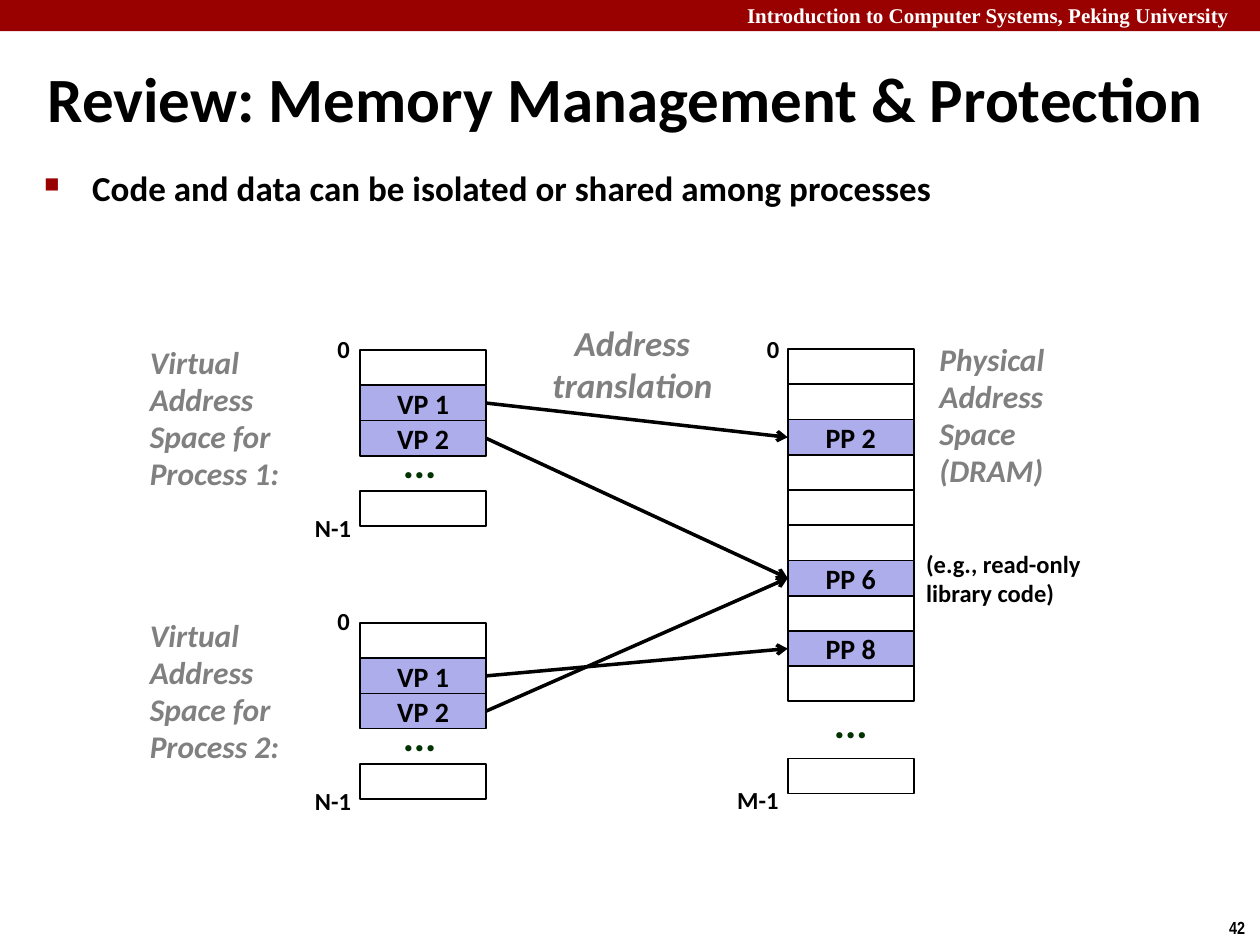
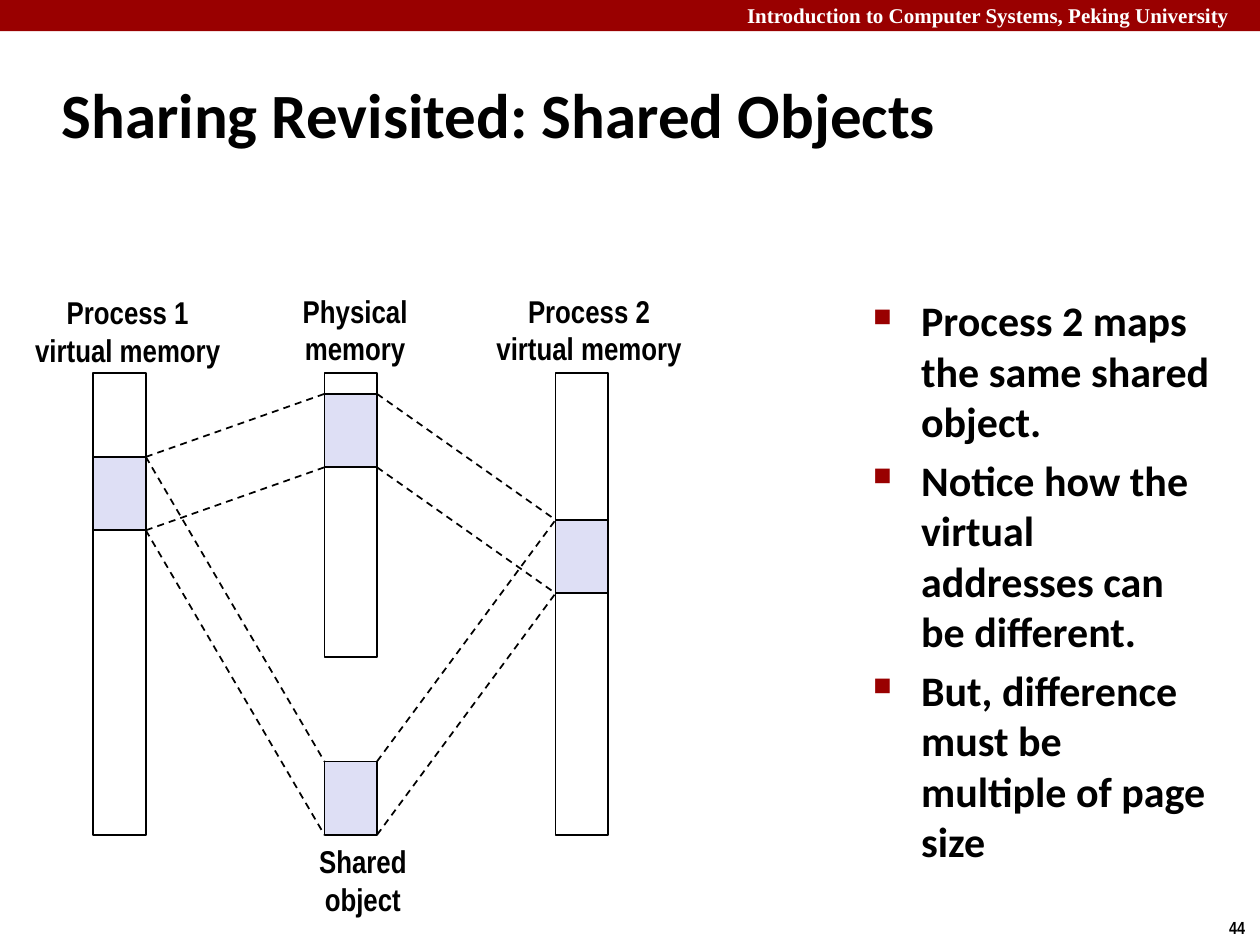
"""Build two slides on memory sharing between processes."""
from dataclasses import dataclass
from typing import Any, Optional

from lxml.etree import SubElement
from pptx import Presentation
from pptx.dml.color import RGBColor
from pptx.enum.dml import MSO_LINE as Dash
from pptx.enum.shapes import MSO_CONNECTOR as Link, MSO_SHAPE as Form
from pptx.enum.text import MSO_ANCHOR as Anchor, MSO_AUTO_SIZE as Fit, PP_ALIGN as Align
from pptx.oxml.ns import qn
from pptx.util import Cm, Pt

RED = RGBColor(0x99, 0x00, 0x00)
BLACK = RGBColor(0x00, 0x00, 0x00)
WHITE = RGBColor(0xFF, 0xFF, 0xFF)
GRAY = RGBColor(0x80, 0x80, 0x80)
GREEN = RGBColor(0x00, 0x33, 0x00)
PAGE = RGBColor(0xAD, 0xAD, 0xEB)
SHARED = RGBColor(0xDE, 0xDF, 0xF5)


def face(name: str, size: int, italic: bool = False) -> dict[str, Any]:
    """Return the format values of a bold font."""
    return {"name": name, "size": Pt(size), "bold": True, "italic": italic}


TITLE = face("Calibri", 36)
POINT = face("Calibri", 24)
LEAD = face("Calibri", 20)
CELL = face("Calibri", 16)
MARK = face("Calibri", 14)
SPACE = face("Calibri", 18, italic=True)
ARROW = face("Calibri", 20, italic=True)
LABEL = face("Arial Narrow", 18)
NUMBER = face("Arial Narrow", 10)
HEAD = face("Times New Roman", 12)


@dataclass(frozen=True)
class Note:
    """A text box, with lengths in centimetres."""
    x: float
    y: float
    w: float
    h: float
    lines: tuple[str, ...]
    font: dict[str, Any]
    ink: RGBColor = BLACK
    wrap: bool = False
    align: Align = Align.LEFT
    anchor: Anchor = Anchor.TOP
    pitch: float = 1.0
    gap: float = 0
    bullet: bool = False


@dataclass(frozen=True)
class Box:
    """A rectangle, with lengths in centimetres."""
    x: float
    y: float
    w: float
    h: float
    fill: Optional[RGBColor] = None
    edge: Optional[RGBColor] = BLACK
    text: str = ""


def style(para: Any, font: dict[str, Any], ink: RGBColor) -> None:
    """Apply the format values and colour to a paragraph's font."""
    for key, value in font.items():
        setattr(para.font, key, value)
    para.font.color.rgb = ink


def place(shape: Any, x: float, y: float, w: float, h: float) -> None:
    """Move and size a shape."""
    shape.left, shape.top, shape.width, shape.height = map(Cm, (x, y, w, h))


def add_bullet(para: Any) -> None:
    """Give a paragraph a hanging square bullet."""
    props = para._p.get_or_add_pPr()
    props.set("marL", str(Cm(0.97)))
    props.set("indent", str(-Cm(0.97)))
    SubElement(SubElement(props, qn("a:buClr")), qn("a:srgbClr"), val=str(RED))
    SubElement(props, qn("a:buSzPct"), val="60000")
    SubElement(props, qn("a:buChar"), char="■")


def add_note(slide: Any, note: Note) -> None:
    """Draw a text box."""
    shape = slide.shapes.add_textbox(*map(Cm, (note.x, note.y, note.w, note.h)))
    frame = shape.text_frame
    frame.text = "\n".join(note.lines)
    frame.word_wrap = note.wrap
    frame.vertical_anchor = note.anchor
    frame.auto_size = Fit.NONE if note.bullet else Fit.SHAPE_TO_FIT_TEXT
    for index, para in enumerate(frame.paragraphs):
        if note.bullet:
            add_bullet(para)
        para.alignment = note.align
        para.line_spacing = note.pitch
        para.space_before = Pt(note.gap if index else 0)
        style(para, note.font, note.ink)


def add_box(slide: Any, box: Box) -> Any:
    """Draw a rectangle and return it."""
    shape = slide.shapes.add_shape(Form.RECTANGLE, *map(Cm, (box.x, box.y, box.w, box.h)))
    shape.shadow.inherit = False
    if box.fill is None:
        shape.fill.background()
    else:
        shape.fill.solid()
        shape.fill.fore_color.rgb = box.fill
    if box.edge is None:
        shape.line.fill.background()
    else:
        shape.line.color.rgb = box.edge
        shape.line.width = Pt(1)
    if box.text:
        shape.text_frame.text = box.text
        shape.text_frame.vertical_anchor = Anchor.MIDDLE
        para = shape.text_frame.paragraphs[0]
        para.alignment = Align.CENTER
        style(para, CELL, BLACK)
    return shape


def add_line(slide: Any, ends: tuple[int, int, int, int], width: float) -> Any:
    """Draw a plain black line and return it."""
    line = slide.shapes.add_connector(Link.STRAIGHT, *ends)
    line.line.color.rgb = BLACK
    line.line.width = Pt(width)
    SubElement(line._element.spPr, qn("a:effectLst"))
    return line


def add_arrow(slide: Any, start: Any, end: Any) -> None:
    """Join the right side of one cell to the left side of another."""
    line = add_line(slide, (0, 0, 0, 0), 2)
    line.begin_connect(start, 3)
    line.end_connect(end, 1)
    SubElement(line.line._get_or_add_ln(), qn("a:tailEnd"), type="arrow")


def add_slide(deck: Any, title: str, area: tuple[float, ...], number: int) -> Any:
    """Add a slide with its band, course name, page number and title."""
    slide = deck.slides.add_slide(deck.slide_layouts[5])
    add_box(slide, Box(0, 0, 25.4, 0.63, RED, None))
    course = "Introduction to Computer Systems, Peking University"
    add_note(slide, Note(14.81, -0.07, 10.77, 0.76, (course,), HEAD, WHITE, wrap=True))
    add_note(slide, Note(24.53, 18.36, 0.87, 0.68, (str(number),), NUMBER))
    head = slide.shapes.title
    place(head, *area)
    frame = head.text_frame
    frame.text = title
    frame.auto_size = Fit.NONE
    frame.vertical_anchor = Anchor.MIDDLE
    frame.paragraphs[0].alignment = Align.LEFT
    style(frame.paragraphs[0], TITLE, BLACK)
    return slide


STEP = 0.71


def add_cells(slide: Any, x: float, top: float, rows: dict[float, str]) -> dict[str, Any]:
    """Stack memory pages and return the named ones."""
    cells = {}
    for row, name in rows.items():
        fill = PAGE if name else None
        cells[name] = add_box(slide, Box(x, top + row * STEP, 2.54, STEP, fill, text=name))
    return cells


def add_dots(slide: Any, x: float, y: float) -> None:
    """Draw the dots that stand for more pages."""
    add_note(slide, Note(x, y, 1.19, 1.14, ("...",), face("Calibri", 24), GREEN, pitch=0.88))


def add_space(slide: Any, top: float, number: int) -> dict[str, Any]:
    """Draw the virtual address space of one process."""
    name = f"Virtual Address Space for Process {number}:"
    add_note(slide, Note(2.77, top - 0.23, 3.81, 3.25, (name,), SPACE, GRAY, True, pitch=0.98))
    add_note(slide, Note(6.55, top - 0.43, 0.79, 0.84, ("0",), MARK, pitch=0.98))
    add_note(slide, Note(6.1, top + 3.18, 1.24, 0.84, ("N-1",), MARK, pitch=0.98))
    cells = add_cells(slide, 7.26, top, {0: "", 1: "VP 1", 2: "VP 2", 4: ""})
    add_dots(slide, 7.87, top + 1.75)
    return cells


def add_review(deck: Any) -> None:
    """Build the slide on memory management and protection."""
    slide = add_slide(deck, "Review: Memory Management & Protection",
                      (0.71, 1.17, 24.49, 1.6), 42)
    lead = "Code and data can be isolated or shared among processes"
    add_note(slide, Note(0.64, 3.38, 24.33, 2.34, (lead,), LEAD, wrap=True,
                         pitch=0.83, bullet=True))
    first = add_space(slide, 7.06, 1)
    second = add_space(slide, 12.56, 2)
    rows = {row: "" for row in (*range(10), 11.62)} | {2: "PP 2", 6: "PP 6", 8: "PP 8"}
    real = add_cells(slide, 15.88, 7.04, rows)
    add_dots(slide, 16.56, 14.05)
    for note in (
        Note(18.69, 6.76, 2.97, 3.28, ("Physical", "Address", "Space (DRAM)"),
             SPACE, GRAY, True, pitch=0.98),
        Note(18.42, 10.97, 4.04, 1.42, ("(e.g., read-only", "library code)"),
             MARK, wrap=True, pitch=0.98),
        Note(15.21, 6.63, 0.79, 0.84, ("0",), MARK, pitch=0.98),
        Note(14.61, 15.72, 1.35, 0.84, ("M-1",), MARK, pitch=0.98),
        Note(10.87, 6.35, 3.76, 1.96, ("Address", "translation"), ARROW, GRAY,
             align=Align.CENTER),
    ):
        add_note(slide, note)
    for start, end in ((first["VP 1"], "PP 2"), (first["VP 2"], "PP 6"),
                       (second["VP 2"], "PP 6"), (second["VP 1"], "PP 8")):
        add_arrow(slide, start, real[end])


def add_sharing(deck: Any) -> None:
    """Build the slide on shared objects."""
    slide = add_slide(deck, "Sharing Revisited: Shared Objects",
                      (0.99, 1.22, 21.08, 2.11), 44)
    left, mid, right = (1.88 + 4.66 * index for index in range(3))
    wide, high, top = 1.06, 1.48, 7.52
    for x, tall in ((left, 9.32), (mid, 5.72), (right, 9.32)):
        add_box(slide, Box(x, top, wide, tall))
    one, real, two, shared = (
        add_box(slide, Box(x, y, wide, high, SHARED))
        for x, y in ((left, 9.21), (mid, 7.94), (right, 10.48), (mid, 15.35)))
    for start, end in ((one, real), (one, shared), (real, two), (shared, two)):
        for drop in (0, start.height):
            ends = (start.left + start.width, start.top + drop, end.left, end.top + drop)
            add_line(slide, ends, 1).line.dash_style = Dash.DASH
    for x, y, w, lines in (
        (0.43, 5.77, 4.29, ("Process 1", "virtual memory")),
        (5.84, 5.74, 2.64, ("Physical", "memory")),
        (9.73, 5.74, 4.29, ("Process 2", "virtual memory")),
        (6.17, 16.84, 2.29, ("Shared", "object")),
    ):
        add_note(slide, Note(x, y, w, 1.8, lines, LABEL, align=Align.CENTER,
                             anchor=Anchor.MIDDLE))
    points = ("Process 2 maps the same shared object.",
              "Notice how the virtual addresses can be different.",
              "But, difference must be multiple of page size")
    add_note(slide, Note(17.35, 5.82, 7.39, 12.8, points, POINT, wrap=True,
                         gap=4.8, bullet=True))


def main() -> None:
    """Build and save the deck."""
    deck = Presentation()
    deck.slide_width, deck.slide_height = Cm(25.4), Cm(19.05)
    add_review(deck)
    add_sharing(deck)
    deck.save("out.pptx")


if __name__ == "__main__":
    main()
